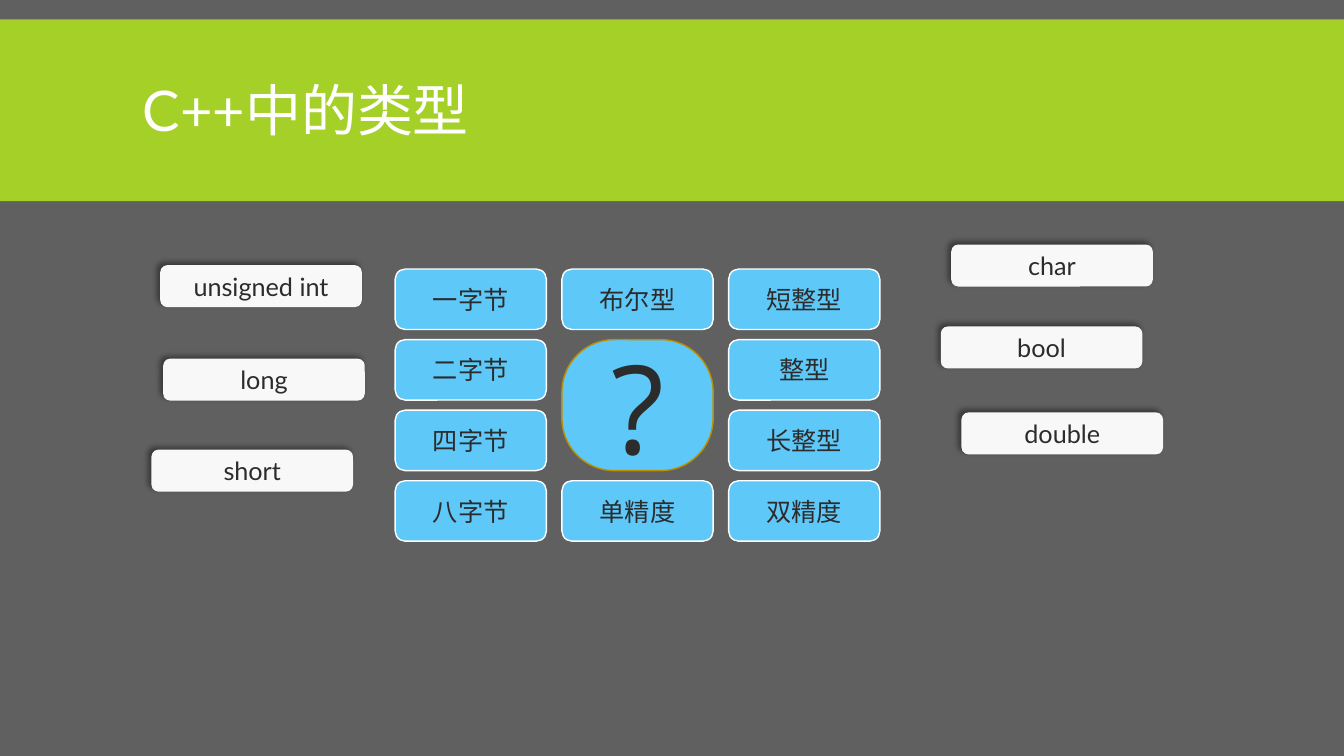
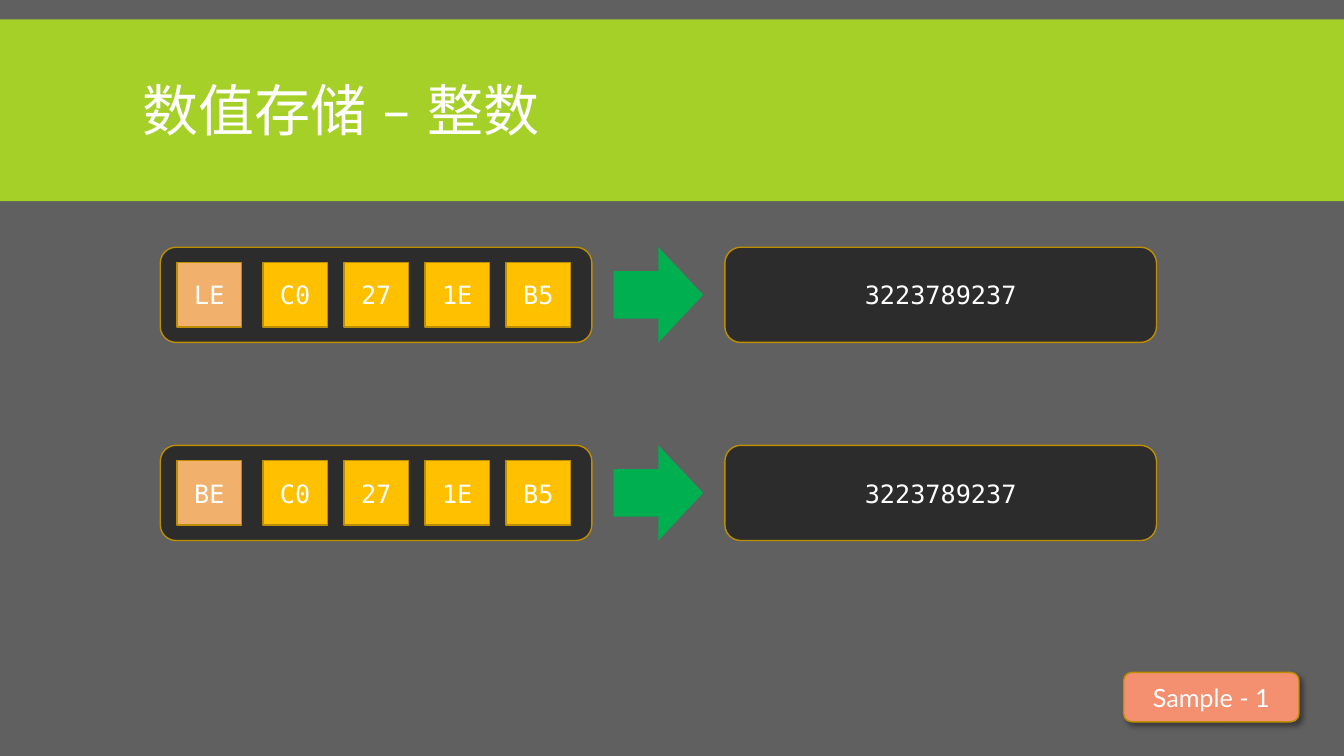
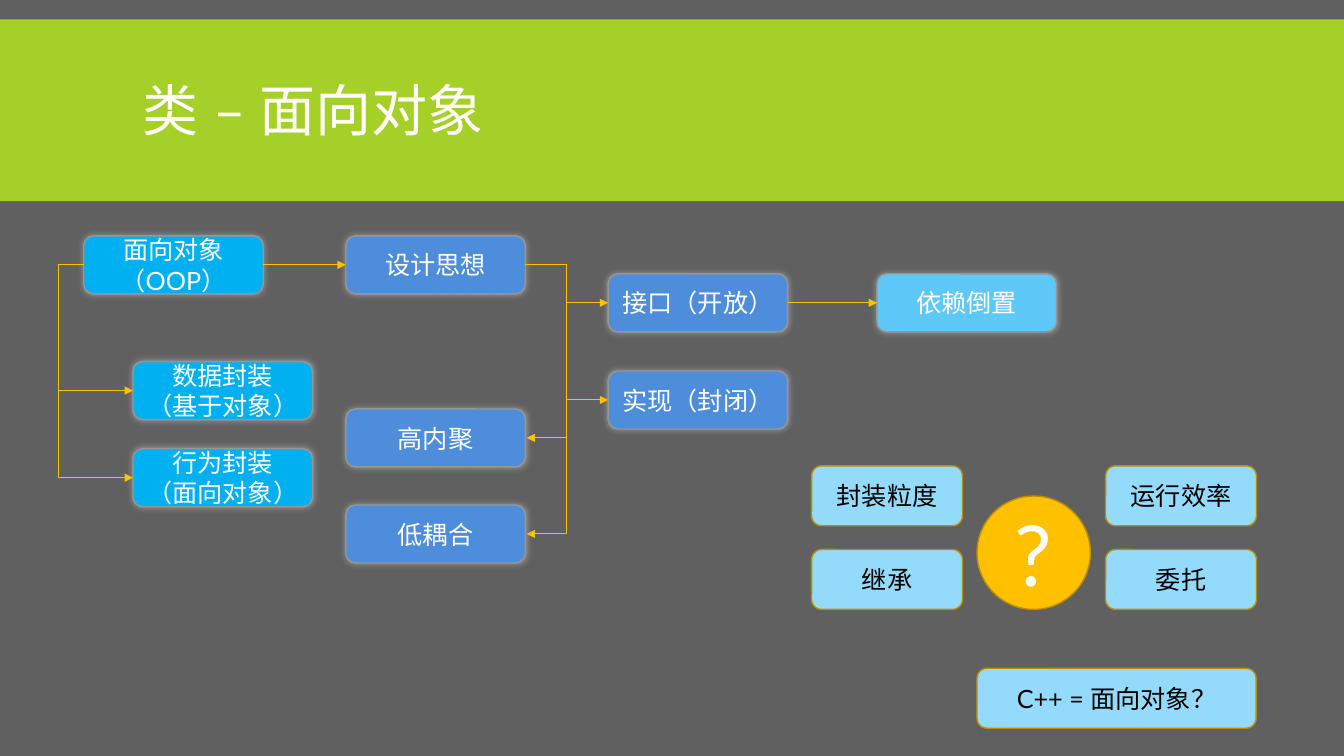
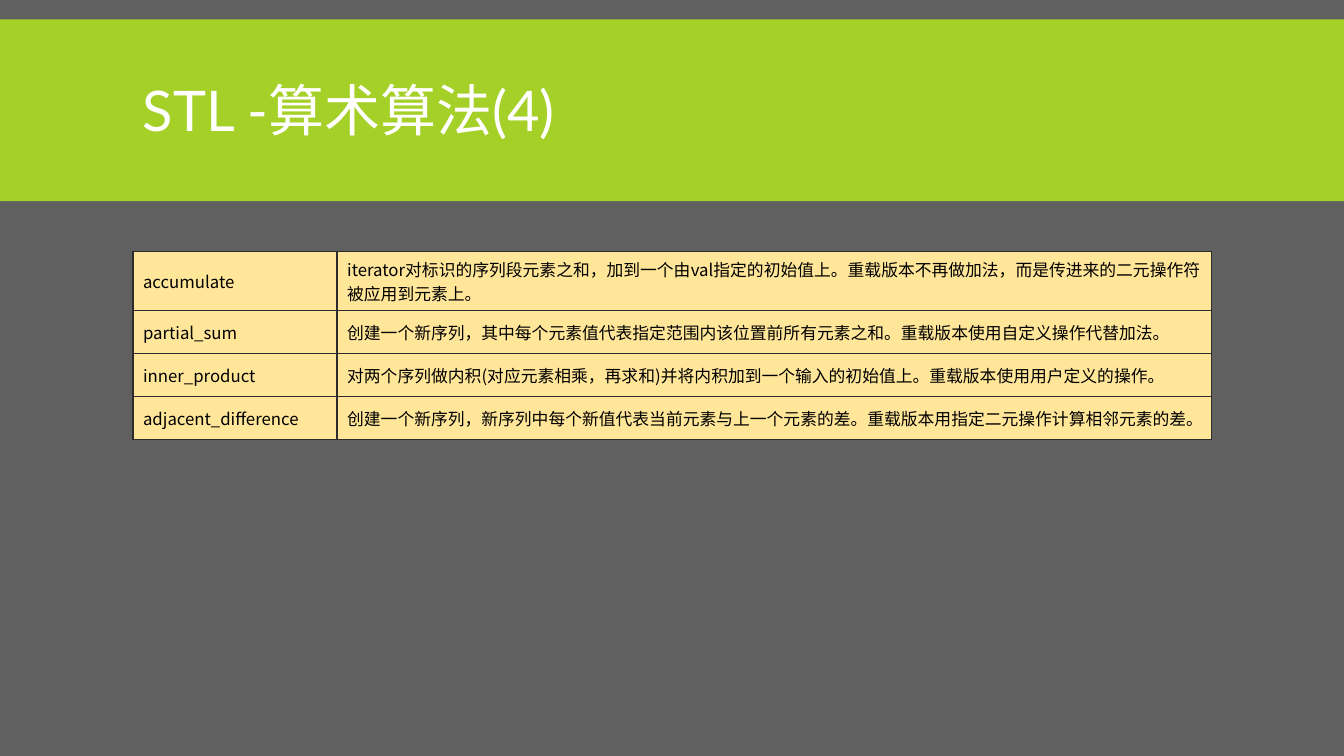
from pptx import Presentation
from pptx.dml.color import RGBColor
from pptx.enum.shapes import MSO_CONNECTOR as CONN, MSO_SHAPE as SHAPE
from pptx.enum.text import MSO_ANCHOR as ANCHOR, PP_ALIGN as ALIGN
from pptx.oxml.ns import qn
from pptx.util import Pt
from lxml.etree import SubElement

rgb = RGBColor.from_string
SANS, MONO, CJK = "Lato", "DejaVu Sans Mono", "Noto Sans CJK SC"
WHITE, BLACK, INK, GREY, GREEN = "FFFFFF", "000000", "2C2C2C", "606060", "A5D028"
GOLD, AMBER, SKY, CYAN, BLUE = "BD8E00", "FFC000", "5EC8F8", "00B0F0", "4E8DDA"


def write(tf, text, size=18, font=SANS, color=WHITE, align=ALIGN.CENTER, spacing=None):
    tf.word_wrap = True
    tf.vertical_anchor = ANCHOR.MIDDLE
    for i, line in enumerate(text.split("\n")):
        p = tf.add_paragraph() if i else tf.paragraphs[0]
        p.alignment, p.line_spacing = align, spacing
        r = p.add_run()
        r.text = line
        for key, value in {"size": Pt(size), "name": font}.items():
            setattr(r.font, key, value)
        r.font.color.rgb = rgb(color)
        SubElement(r._r.get_or_add_rPr(), qn("a:ea"), typeface=font)


def box(s, kind, x, y, w, h, fill, text="", line=None, shadow=None, adj=None, **fmt):
    sp = s.shapes.add_shape(kind, Pt(x), Pt(y), Pt(w), Pt(h))
    sp.shadow.inherit = False
    sp.fill.solid()
    sp.fill.fore_color.rgb = rgb(fill)
    if line:
        sp.line.color.rgb = rgb(line)
        sp.line.width = Pt(1)
    else:
        sp.line.fill.background()
    if adj:
        sp.adjustments[0] = adj
    if shadow:
        color, blur, dist, angle = shadow
        effects = sp._element.spPr.find(qn("a:effectLst"))
        outer = SubElement(effects, qn("a:outerShdw"), blurRad=str(Pt(blur)), dist=str(Pt(dist)),
                           dir=str(angle * 60000), algn="ctr", rotWithShape="0")
        clr = SubElement(outer, qn("a:srgbClr"), val=color)
        SubElement(clr, qn("a:alpha"), val="40000")
    if text:
        write(sp.text_frame, text, **fmt)


prs = Presentation()
prs.slide_width, prs.slide_height = Pt(960), Pt(540)
bg = prs.slide_master.background.fill
bg.solid()
bg.fore_color.rgb = rgb(GREY)

slides = []
for title in ["C++中的类型", "数值存储 – 整数", "类 – 面向对象", "STL -算术算法(4)"]:
    s = prs.slides.add_slide(prs.slide_layouts[6])
    box(s, SHAPE.RECTANGLE, 0, 13.8, 960, 129.8, GREEN)
    tb = s.shapes.add_textbox(Pt(95), Pt(22.3), Pt(770.4), Pt(118.8))
    write(tb.text_frame, title, size=40, align=ALIGN.LEFT, spacing=0.85)
    slides.append(s)
types, storage, oop, stl = slides

GRID = [
    ["一字节", "布尔型", "短整型"],
    ["二字节", None, "整型"],
    ["四字节", None, "长整型"],
    ["八字节", "单精度", "双精度"],
]
for row, names in enumerate(GRID):
    for col, name in enumerate(names):
        if name:
            box(types, SHAPE.ROUNDED_RECTANGLE, 282.3 + 119.1 * col, 192.2 + 50.4 * row, 108, 43.2,
                SKY, name, WHITE, color=INK)
box(types, SHAPE.ROUNDED_RECTANGLE, 401.4, 242.6, 108, 93.6, SKY, "?", GOLD,
    adj=0.4, size=88, font="Open Sans", color=INK)

KEYWORDS = [
    ("unsigned int", 114.5, 189.4), ("long", 116.6, 256.2), ("short", 108.2, 321.2),
    ("char", 679.5, 174.7), ("bool", 672, 233.2), ("double", 686.8, 294.6),
]
for name, x, y in KEYWORDS:
    box(types, SHAPE.ROUNDED_RECTANGLE, x, y, 144, 30, "F8F8F8", name,
        shadow=(BLACK, 4, 3, 225), color=INK)

PANEL = dict(w=308.3, h=68, fill=INK, line=GOLD)
for order, y in [("LE", 176.6), ("BE", 318.1)]:
    box(storage, SHAPE.ROUNDED_RECTANGLE, 114.5, y, **PANEL)
    box(storage, SHAPE.RECTANGLE, 126.5, y + 11, 46, 46, "F1B16C", order, GOLD, font=MONO)
    for i, byte in enumerate(["C0", "27", "1E", "B5"]):
        box(storage, SHAPE.RECTANGLE, 187.8 + 57.9 * i, y + 11, 46, 46, AMBER, byte, GOLD, font=MONO)
    box(storage, SHAPE.RIGHT_ARROW, 438.3, y, 64, 68, "00B050")
    box(storage, SHAPE.ROUNDED_RECTANGLE, 517.8, y, text="3223789237", font=MONO, **PANEL)
box(storage, SHAPE.ROUNDED_RECTANGLE, 802.6, 480.3, 125.3, 35.3, "F48F70", "Sample - 1", GOLD,
    shadow=(BLACK, 4, 3, 45))

NODE_W, NODE_H = 128.2, 41.4
NODES = {
    "oop": (59.8, 168.5, CYAN, "面向对象（OOP）"),
    "data": (95, 258.3, CYAN, "数据封装\n（基于对象）"),
    "behavior": (95, 320.5, CYAN, "行为封装\n（面向对象）"),
    "design": (247, 168.5, BLUE, "设计思想"),
    "cohesion": (247, 292.1, BLUE, "高内聚"),
    "coupling": (247, 360.7, BLUE, "低耦合"),
    "interface": (434.4, 195.6, BLUE, "接口（开放）"),
    "implementation": (434.4, 265, BLUE, "实现（封闭）"),
    "inversion": (626.4, 195.6, SKY, "依赖倒置"),
}
for x, y, fill, text in NODES.values():
    box(oop, SHAPE.ROUNDED_RECTANGLE, x, y, NODE_W, NODE_H, fill, text, "969696",
        shadow=("F2F2F2", 5, 0, 0))

LEFT, RIGHT = 0, 1
LINKS = [
    ("oop", RIGHT, "design", LEFT, None),
    ("interface", RIGHT, "inversion", LEFT, None),
    ("oop", LEFT, "data", LEFT, 41.8),
    ("oop", LEFT, "behavior", LEFT, 41.8),
    ("design", RIGHT, "interface", LEFT, 404.7),
    ("design", RIGHT, "implementation", LEFT, 404.7),
    ("design", RIGHT, "cohesion", RIGHT, 404.7),
    ("design", RIGHT, "coupling", RIGHT, 404.7),
]
for start, start_side, end, end_side, bend in LINKS:
    x0 = NODES[start][0] + start_side * NODE_W
    x1 = NODES[end][0] + end_side * (NODE_W + 1)
    y0, y1 = [NODES[name][1] + NODE_H / 2 for name in (start, end)]
    c = oop.shapes.add_connector(CONN.ELBOW if bend else CONN.STRAIGHT, Pt(x0), Pt(y0), Pt(x1), Pt(y1))
    c.line.color.rgb = rgb(AMBER)
    c.line.width = Pt(0.75)
    spPr = c._element.spPr
    SubElement(spPr.find(qn("a:ln")), qn("a:tailEnd"), type="triangle")
    SubElement(spPr, qn("a:effectLst"))
    if bend:
        ratio = round((bend - x0) / (x1 - x0) * 100000)
        guides = spPr.find(qn("a:prstGeom")).find(qn("a:avLst"))
        SubElement(guides, qn("a:gd"), name="adj1", fmla=f"val {ratio}")

CHOICE = dict(h=42.8, fill="93DAFB", line=GOLD, color=BLACK)
for row, pair in enumerate([("封装粒度", "运行效率"), ("继承", "委托")]):
    for col, text in enumerate(pair):
        box(oop, SHAPE.ROUNDED_RECTANGLE, 579.7 + 210 * col, 332.8 + 59.7 * row, 107.8, text=text, **CHOICE)
box(oop, SHAPE.OVAL, 697.9, 354.3, 81, 81, AMBER, "?", GOLD, size=60)
box(oop, SHAPE.ROUNDED_RECTANGLE, 697.9, 477.4, 199.4, text="C++ = 面向对象？", **CHOICE)

ALGORITHMS = [
    ("accumulate", "iterator对标识的序列段元素之和，加到一个由val指定的初始值上。重载版本不再做加法，而是传进来的二元操作符被应用到元素上。"),
    ("partial_sum", "创建一个新序列，其中每个元素值代表指定范围内该位置前所有元素之和。重载版本使用自定义操作代替加法。"),
    ("inner_product", "对两个序列做内积(对应元素相乘，再求和)并将内积加到一个输入的初始值上。重载版本使用用户定义的操作。"),
    ("adjacent_difference", "创建一个新序列，新序列中每个新值代表当前元素与上一个元素的差。重载版本用指定二元操作计算相邻元素的差。"),
]
ROW_HEIGHTS = [42.2, 30.75, 30.75, 30.75]
table = stl.shapes.add_table(len(ALGORITHMS), 2, Pt(95), Pt(179.7), Pt(770.4), Pt(sum(ROW_HEIGHTS))).table
for key in ("first_row", "horz_banding"):
    setattr(table, key, False)
for col, width in zip(table.columns, (145.8, 624.6)):
    col.width = Pt(width)
for row, height, texts in zip(table.rows, ROW_HEIGHTS, ALGORITHMS):
    row.height = Pt(height)
    for cell, text in zip(row.cells, texts):
        write(cell.text_frame, text, size=12, font=CJK, color=BLACK, align=ALIGN.LEFT)
        cell.vertical_anchor = ANCHOR.MIDDLE
        tcPr = cell._tc.get_or_add_tcPr()
        for side in ("lnL", "lnR", "lnT", "lnB"):
            ln = SubElement(tcPr, qn(f"a:{side}"), w=str(Pt(1)))
            SubElement(SubElement(ln, qn("a:solidFill")), qn("a:srgbClr"), val=INK)
        cell.fill.solid()
        cell.fill.fore_color.rgb = rgb("FFE699")

prs.save("out.pptx")
